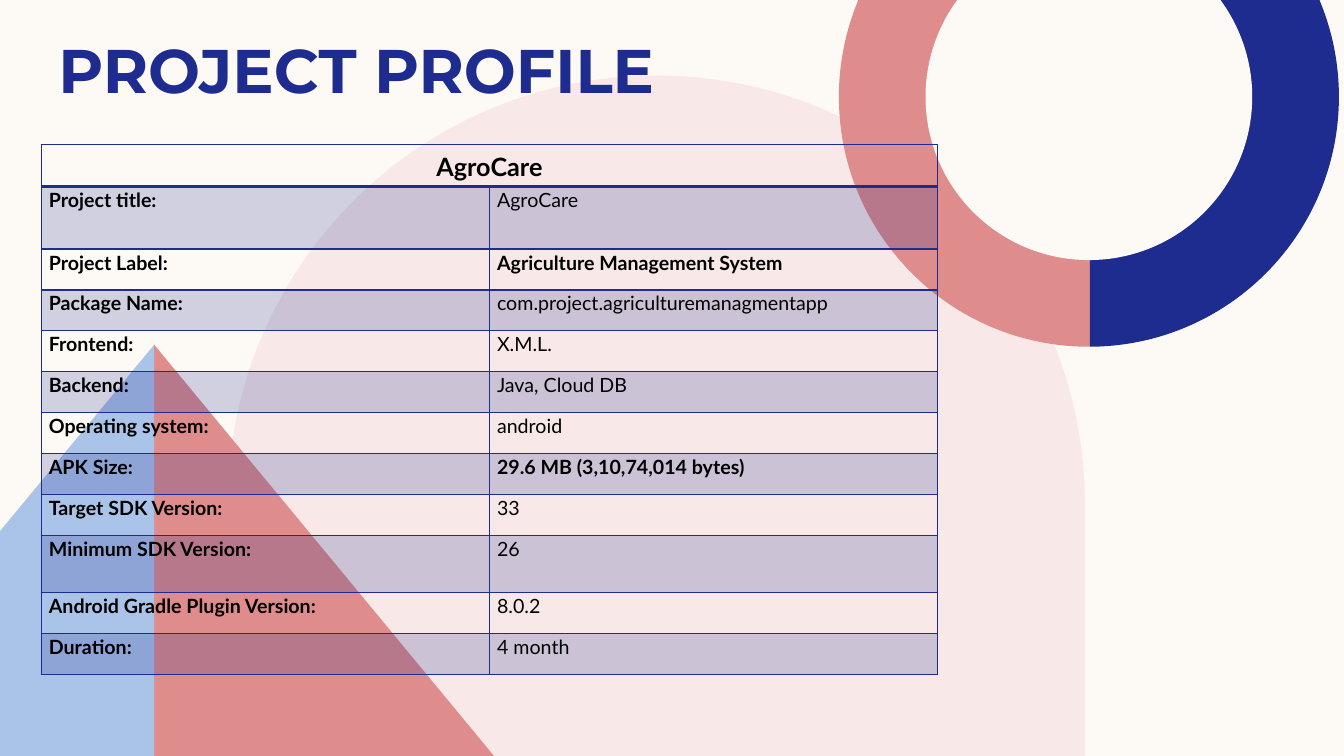
import math
from dataclasses import dataclass

import pptx
import pptx.dml.color
import pptx.enum.text
import pptx.oxml
import pptx.oxml.ns
import pptx.util

Inches = pptx.util.Inches


@dataclass(frozen=True)
class Theme:
    cream: str = "FDFAF6"
    blush: str = "F8E8E8"
    coral: str = "DE8C8C"
    navy: str = "1F2C8F"
    sky: str = "AAC3E8"
    ink: str = "000000"
    title_font: str = "Montserrat"
    body_font: str = "Lato"
    title_size: int = 44
    header_size: int = 18
    body_size: int = 14
    band_opacity: int = 20


def color(value):
    return pptx.dml.color.RGBColor.from_string(value)


def straight(*points):
    return [(point, None) for point in points]


def arc(center, radius, start, end):
    quarters = [q for q in range(-360, 361, 90) if start < q < end]
    angles = [math.radians(angle) for angle in [start, *quarters, end]]

    def on_circle(angle, lead=0.0):
        return (center[0] + radius * (math.cos(angle) - lead * math.sin(angle)),
                center[1] + radius * (math.sin(angle) + lead * math.cos(angle)))

    nodes = straight(on_circle(angles[0]))
    for first, second in zip(angles, angles[1:]):
        lead = 4 / 3 * math.tan((second - first) / 4)
        nodes.append((on_circle(second), (on_circle(first, lead), on_circle(second, -lead))))
    return nodes


class ProfileSlide:
    """Draws the elements of a project profile on one slide."""

    def __init__(self, presentation, theme):
        self.theme = theme
        self.slide = presentation.slides.add_slide(presentation.slide_layouts[5])
        self.slide.background.fill.solid()
        self.slide.background.fill.fore_color.rgb = color(theme.cream)

    def outline(self, nodes, fill):
        corners = [(Inches(x), Inches(y)) for (x, y), controls in nodes]
        builder = self.slide.shapes.build_freeform(*corners[0], scale=1.0)
        builder.add_line_segments(corners[1:], close=True)
        shape = builder.convert_to_shape()
        lines = shape.element.findall(".//" + pptx.oxml.ns.qn("a:lnTo"))
        for line, (end, controls) in zip(lines, nodes[1:]):
            if controls:
                points = "".join(
                    f'<a:pt x="{Inches(x) - shape.left}" y="{Inches(y) - shape.top}"/>'
                    for x, y in (*controls, end))
                line.getparent().replace(line, pptx.oxml.parse_xml(
                    f'<a:cubicBezTo {pptx.oxml.ns.nsdecls("a")}>{points}</a:cubicBezTo>'))
        shape.shadow.inherit = False
        shape.fill.solid()
        shape.fill.fore_color.rgb = color(fill)
        shape.line.fill.background()

    def style_text(self, paragraph, font, size, ink, bold):
        for run in paragraph.runs:
            run.font.name = font
            run.font.size = pptx.util.Pt(size)
            run.font.color.rgb = color(ink)
            run.font.bold = bold

    def title(self, text, left, top, width, height):
        shape = self.slide.shapes.title
        shape.left, shape.top = Inches(left), Inches(top)
        shape.width, shape.height = Inches(width), Inches(height)
        frame = shape.text_frame
        frame.text = text
        frame.word_wrap = True
        frame.vertical_anchor = pptx.enum.text.MSO_ANCHOR.BOTTOM
        paragraph = frame.paragraphs[0]
        paragraph.alignment = pptx.enum.text.PP_ALIGN.CENTER
        self.style_text(paragraph, self.theme.title_font, self.theme.title_size, self.theme.navy, True)
        shape.element.getparent().append(shape.element)

    def borders(self, cell, widths):
        properties = cell._tc.get_or_add_tcPr()
        for index, (side, width) in enumerate(widths.items()):
            properties.insert(index, pptx.oxml.parse_xml(
                f'<a:ln{side} {pptx.oxml.ns.nsdecls("a")} w="{pptx.util.Pt(width)}">'
                f'<a:solidFill><a:srgbClr val="{self.theme.navy}"/></a:solidFill></a:ln{side}>'))

    def cell(self, cell, text, size, bold, banded):
        cell.text_frame.text = text
        paragraph = cell.text_frame.paragraphs[0]
        paragraph.line_spacing = 1.07
        paragraph.space_after = pptx.util.Pt(8)
        self.style_text(paragraph, self.theme.body_font, size, self.theme.ink, bold)
        if banded:
            cell.fill.solid()
            cell.fill.fore_color.rgb = color(self.theme.navy)
            tint = cell._tc.tcPr.find(".//" + pptx.oxml.ns.qn("a:srgbClr"))
            tint.append(pptx.oxml.parse_xml(
                f'<a:alpha {pptx.oxml.ns.nsdecls("a")} val="{self.theme.band_opacity * 1000}"/>'))
        else:
            cell.fill.background()

    def table(self, heading, rows, left, top, width, heights):
        frame = self.slide.shapes.add_table(
            len(rows) + 1, 2, Inches(left), Inches(top), Inches(width), Inches(sum(heights)))
        table = frame.table
        table.first_row = table.horz_banding = False
        for row, height in zip(table.rows, heights):
            row.height = Inches(height)
        header = table.cell(0, 0)
        header.merge(table.cell(0, 1))
        self.cell(header, heading, self.theme.header_size, True, False)
        header.text_frame.paragraphs[0].alignment = pptx.enum.text.PP_ALIGN.CENTER
        for index, (label, value, strong) in enumerate(rows, start=1):
            for column, (text, bold) in enumerate([(label, True), (value, strong)]):
                cell = table.cell(index, column)
                cell.margin_left = cell.margin_right = pptx.util.Pt(5.4)
                cell.margin_top = cell.margin_bottom = 0
                self.cell(cell, text, self.theme.body_size, bold, index % 2 == 1)
        for index, row in enumerate(table.rows):
            for cell in row.cells:
                self.borders(cell, {"L": 1, "R": 1, "T": 2 if index == 1 else 1,
                                    "B": 2 if index == 0 else 1})


def main():
    presentation = pptx.Presentation()
    presentation.slide_width = Inches(13.33)
    presentation.slide_height = Inches(7.5)
    theme = Theme()
    profile = ProfileSlide(presentation, theme)

    profile.outline(
        arc((6.51, 5), 4.25, -180, 0) + straight((10.76, 7.5), (2.26, 7.5)), theme.blush)
    middle, ring_y, outer, inner = 10.81, 0.96, 2.48, 1.62
    outer_cut = math.degrees(math.asin(ring_y / outer))
    inner_cut = math.degrees(math.asin(ring_y / inner))
    profile.outline(
        arc((10.8, ring_y), outer, 90, 180 + outer_cut)
        + straight((middle, 0), (middle, ring_y + outer)), theme.coral)
    profile.outline(
        arc((10.8, ring_y), outer, -outer_cut, 89.8) + straight((middle, 0)), theme.navy)
    profile.outline(arc((10.8, ring_y), inner, -inner_cut, 180 + inner_cut), theme.cream)
    apex, foot = (1.53, 3.42), (1.53, 7.5)
    profile.outline(straight(apex, (4.9, 7.5), foot), theme.coral)
    profile.outline(straight(apex, foot, (0, 7.5), (0, 5.27)), theme.sky)

    profile.title("PROJECT PROFILE", 0.18, 0.17, 6.71, 0.93)
    rows = [
        ("Project title:", "AgroCare", False),
        ("Project Label:", "Agriculture Management System", True),
        ("Package Name:", "com.project.agriculturemanagmentapp", False),
        ("Frontend:", "X.M.L.", False),
        ("Backend:", "Java, Cloud DB", False),
        ("Operating system:", "android", False),
        ("APK Size:", "29.6 MB (3,10,74,014 bytes)", True),
        ("Target SDK Version:", "33", False),
        ("Minimum SDK Version:", "26", False),
        ("Android Gradle Plugin Version:", "8.0.2", False),
        ("Duration:", "4 month", False),
    ]
    tall_rows = {0: 0.42, 1: 0.62, 9: 0.57}
    row_count = len(rows) + 1
    regular = (5.26 - sum(tall_rows.values())) / (row_count - len(tall_rows))
    heights = [tall_rows.get(index, regular) for index in range(row_count)]
    profile.table("AgroCare", rows, 0.41, 1.43, 8.89, heights)
    presentation.save("out.pptx")


if __name__ == "__main__":
    main()
